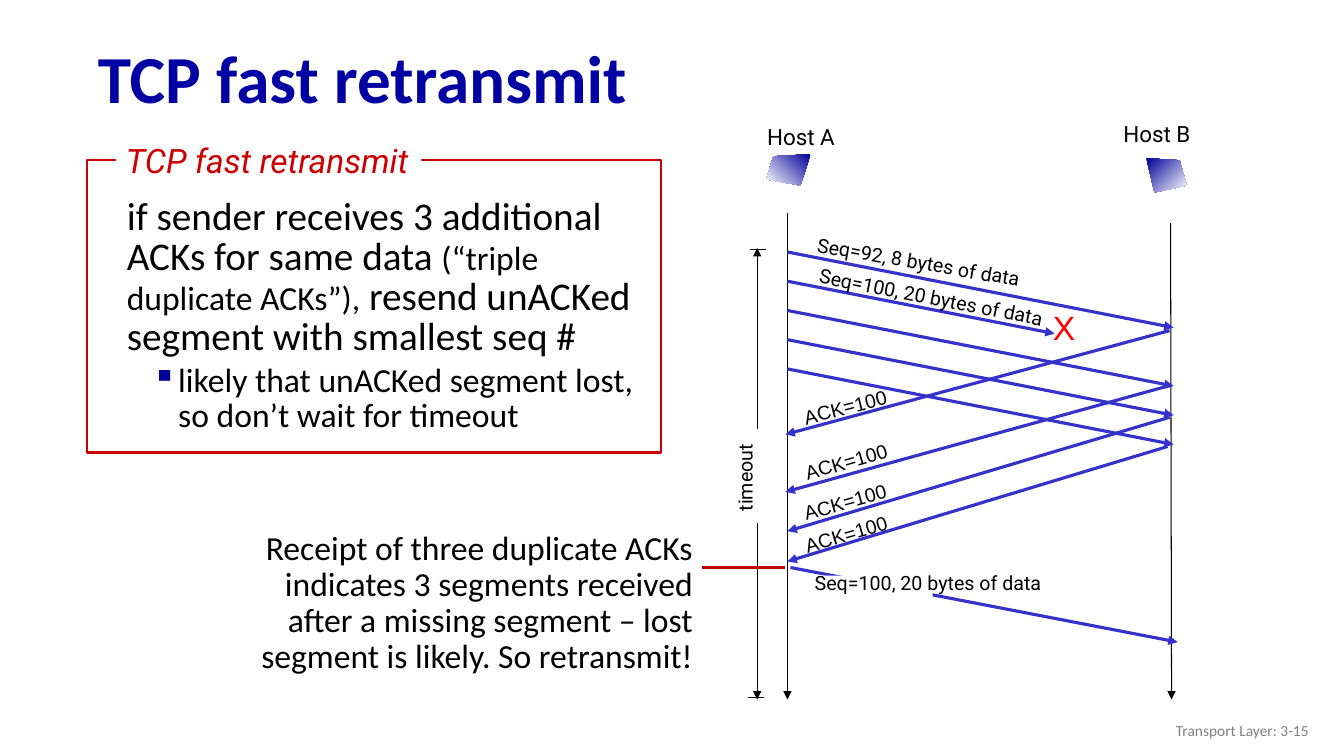
"""Build the TCP fast retransmit slide."""
from typing import NamedTuple, Optional

import lxml.etree
import pptx
import pptx.dml.color
import pptx.enum.shapes
import pptx.enum.text
import pptx.oxml.ns
import pptx.util

Inches = pptx.util.Inches
Pt = pptx.util.Pt
qn = pptx.oxml.ns.qn
ALIGN = pptx.enum.text.PP_ALIGN
ANCHOR = pptx.enum.text.MSO_ANCHOR
RECT = pptx.enum.shapes.MSO_SHAPE.RECTANGLE
STRAIGHT = pptx.enum.shapes.MSO_CONNECTOR.STRAIGHT

COLORS = {
    "title": "0000A3", "black": "000000", "white": "FFFFFF", "arrow": "3333CC",
    "bullet": "000099", "frame": "CC0000", "callout": "C00000",
    "loss": "FF0000", "footer": "808080",
}
HOST_A, HOST_B = 7.81, 11.64
SEGMENT_TOP, SEGMENT_GAP, SEGMENT_DROP, SEGMENTS = 2.5, 0.29, 0.75, 5
LOST = 1


class Line(NamedTuple):
    """A straight line, with or without an arrowhead at its end."""

    x1: float
    y1: float
    x2: float
    y2: float
    color: str = "black"
    width: float = 0.75
    arrow: bool = True


class Label(NamedTuple):
    """A one-line centred label."""

    text: str
    box: tuple[float, float, float, float]
    font: str = "Roboto"
    size: float = 14
    color: str = "black"
    rot: float = 0
    vert: Optional[str] = None


class Ack(NamedTuple):
    """An acknowledgement from B to A and the place of its label."""

    x1: float
    y1: float
    x2: float
    y2: float
    left: float
    top: float
    rot: float


class Host(NamedTuple):
    """A host with its outline, gradient angle and label."""

    points: list[tuple[float, float]]
    angle: float
    label: Label


AXES = [
    Line(HOST_A, 2.11, HOST_A, 6.94),
    Line(11.61, 2.21, 11.62, 6.94),
]
TIMEOUT = [
    Line(7.51, 4.26, 7.51, 2.46),
    Line(7.44, 2.48, 7.6, 2.48, arrow=False),
    Line(7.51, 5.19, 7.51, 6.94),
    Line(7.42, 6.92, 7.58, 6.92, arrow=False),
]
ACKS = [
    Ack(11.6, 3.28, 7.79, 4.31, 7.67, 3.87, 345.6),
    Ack(11.62, 3.82, 7.79, 4.88, 7.68, 4.41, 343.9),
    Ack(11.6, 4.14, 7.81, 5.27, 7.67, 4.81, 344.3),
    Ack(11.58, 4.43, 7.81, 5.57, 7.68, 5.13, 343.8),
]
LABELS = [
    Label("timeout", (7.22, 4.3, 0.6, 0.87), rot=180, vert="eaVert"),
    Label("X", (10.34, 3, 0.43, 0.58), "Arial", 24, "loss"),
    Label("Seq=92, 8 bytes of data", (7.95, 2.43, 2.32, 0.34), rot=9.7),
    Label("Seq=100, 20 bytes of data", (7.97, 2.78, 2.53, 0.34), rot=11.1),
]
RESENT = Label("Seq=100, 20 bytes of data", (7.48, 5.61, 3.45, 0.39))
HOSTS = [
    Host([(8.04, 1.53), (7.67, 1.55), (7.6, 1.78), (7.94, 1.84)], 225,
         Label("Host A", (7.36, 1.17, 1.17, 0.43), size=16)),
    Host([(11.37, 1.57), (11.7, 1.59), (11.77, 1.84), (11.45, 1.91)], 315,
         Label("Host B", (10.89, 1.14, 1.17, 0.43), size=16)),
]


def rgb(name: str) -> pptx.dml.color.RGBColor:
    """Look up a named colour."""
    return pptx.dml.color.RGBColor.from_string(COLORS[name])


def place(sp, box) -> None:
    """Move a shape to a box given in inches."""
    sp.left, sp.top, sp.width, sp.height = map(Inches, box)


def add_text(p, text: str, *, font="Calibri", size=24, color="black",
             bold=False, italic=False, align=ALIGN.LEFT, spacing=None) -> None:
    """Add a formatted run to a paragraph."""
    p.alignment = align
    if spacing:
        p.line_spacing = spacing
    r = p.add_run()
    r.text = text
    r.font.name, r.font.size = font, Pt(size)
    r.font.bold, r.font.italic = bold, italic
    r.font.color.rgb = rgb(color)


def add_box(s, box, wrap: bool = True, rot: float = 0):
    """Add an empty text box."""
    sp = s.shapes.add_textbox(*map(Inches, box))
    sp.rotation = rot
    sp.text_frame.word_wrap = wrap
    return sp


def add_label(s, label: Label) -> None:
    """Draw a label."""
    sp = add_box(s, label.box, wrap=False, rot=label.rot)
    if label.vert:
        sp.element.txBody.bodyPr.set("vert", label.vert)
    add_text(sp.text_frame.paragraphs[0], label.text, font=label.font,
             size=label.size, color=label.color, align=ALIGN.CENTER)


def add_line(s, line: Line) -> None:
    """Draw a line."""
    cn = s.shapes.add_connector(
        STRAIGHT, *map(Inches, (line.x1, line.y1, line.x2, line.y2)))
    cn.line.color.rgb = rgb(line.color)
    cn.line.width = Pt(line.width)
    sp_pr = cn.element.spPr
    if line.arrow:
        lxml.etree.SubElement(sp_pr.find(qn("a:ln")), qn("a:tailEnd"), type="triangle")
    lxml.etree.SubElement(sp_pr, qn("a:effectLst"))


def add_rect(s, box, fill: Optional[str] = "white", line: Optional[str] = None):
    """Draw a rectangle."""
    sp = s.shapes.add_shape(RECT, *map(Inches, box))
    sp.shadow.inherit = False
    if fill:
        sp.fill.solid()
        sp.fill.fore_color.rgb = rgb(fill)
    else:
        sp.fill.background()
    if line:
        sp.line.color.rgb = rgb(line)
        sp.line.width = Pt(1.5)
    else:
        sp.line.fill.background()
    sp.text_frame.vertical_anchor = ANCHOR.TOP
    return sp


def add_host(s, host: Host) -> None:
    """Draw a host and its label."""
    start, *rest = [(Inches(x), Inches(y)) for x, y in host.points]
    fb = s.shapes.build_freeform(*start)
    fb.add_line_segments(rest, close=True)
    sp = fb.convert_to_shape()
    sp.shadow.inherit = False
    sp.line.fill.background()
    sp.fill.gradient()
    sp.fill.gradient_angle = host.angle
    for stop, color in zip(sp.fill.gradient_stops, ("bullet", "white")):
        stop.color.rgb = rgb(color)
    add_label(s, host.label)


def add_bullet(p) -> None:
    """Give a paragraph a hanging square bullet."""
    p_pr = p._p.get_or_add_pPr()
    p_pr.set("marL", str(Inches(0.51)))
    p_pr.set("indent", str(Inches(-0.26)))
    bu_clr = lxml.etree.SubElement(p_pr, qn("a:buClr"))
    lxml.etree.SubElement(bu_clr, qn("a:srgbClr"), val=COLORS["bullet"])
    lxml.etree.SubElement(p_pr, qn("a:buChar"), char="▪")


def add_rule(s) -> None:
    """Draw the framed retransmit rule."""
    tf = add_rect(s, (1.16, 1.92, 5.26, 2.48)).text_frame
    tf.word_wrap = True
    p = tf.paragraphs[0]
    for text, size in [("if sender receives 3 additional ACKs for same data ", 28),
                       ("(“triple duplicate ACKs”),", 24),
                       (" resend unACKed segment with smallest seq #", 28)]:
        add_text(p, text, size=size, spacing=0.85)
    p = tf.add_paragraph()
    add_bullet(p)
    p.space_before = Pt(5)
    add_text(p, "likely that unACKed segment lost, so don’t wait for timeout", spacing=0.85)
    add_rect(s, (0.86, 1.59, 5.7, 2.9), fill=None, line="frame")
    tf = add_rect(s, (1.15, 1.34, 3.03, 0.5)).text_frame
    tf.word_wrap = True
    add_text(tf.paragraphs[0], "TCP fast retransmit", font="Roboto",
             color="frame", italic=True)


def add_exchange(s) -> None:
    """Draw the segments and acknowledgements between the hosts."""
    for line in AXES + TIMEOUT:
        add_line(s, line)
    for ack in ACKS:
        add_line(s, Line(*ack[:4], "arrow", 2.25))
        add_label(s, Label("ACK=100", (ack.left, ack.top, 1.44, 0.39), "Arial", rot=ack.rot))
    for i in range(SEGMENTS):
        y = SEGMENT_TOP + i * SEGMENT_GAP
        end = (10.46, 3.31) if i == LOST else (HOST_B, y + SEGMENT_DROP)
        add_line(s, Line(HOST_A, y, *end, "arrow", 2.25))
    for label in LABELS:
        add_label(s, label)
    add_line(s, Line(7.84, 5.63, 11.68, 6.37, "arrow", 2.25))
    add_rect(s, (8.1, 5.71, 1.15, 0.29))
    add_label(s, RESENT)
    for host in HOSTS:
        add_host(s, host)


def main() -> None:
    """Build and save the presentation."""
    prs = pptx.Presentation()
    prs.slide_width, prs.slide_height = Inches(13.33), Inches(7.5)
    s = prs.slides.add_slide(prs.slide_layouts[5])
    title = s.shapes.title
    place(title, (0.87, 0.32, 12.46, 0.98))
    title.text_frame.vertical_anchor = ANCHOR.MIDDLE
    add_text(title.text_frame.paragraphs[0], "TCP fast retransmit", size=48,
             color="title", bold=True, spacing=0.9)
    add_exchange(s)
    tf = add_box(s, (2.44, 5.22, 4.53, 1.56)).text_frame
    add_text(tf.paragraphs[0], "Receipt of three duplicate ACKs indicates 3 segments received "
             "after a missing segment – lost segment is likely. So retransmit!",
             align=ALIGN.RIGHT, spacing=0.9)
    add_line(s, Line(6.96, 5.63, 7.79, 5.63, "callout", 1.75, False))
    add_rule(s)
    tf = add_box(s, (10.08, 7.05, 3, 0.4)).text_frame
    tf.vertical_anchor = ANCHOR.MIDDLE
    add_text(tf.paragraphs[0], "Transport Layer: 3-15", size=11, color="footer",
             align=ALIGN.RIGHT)
    prs.save("out.pptx")


if __name__ == "__main__":
    main()
